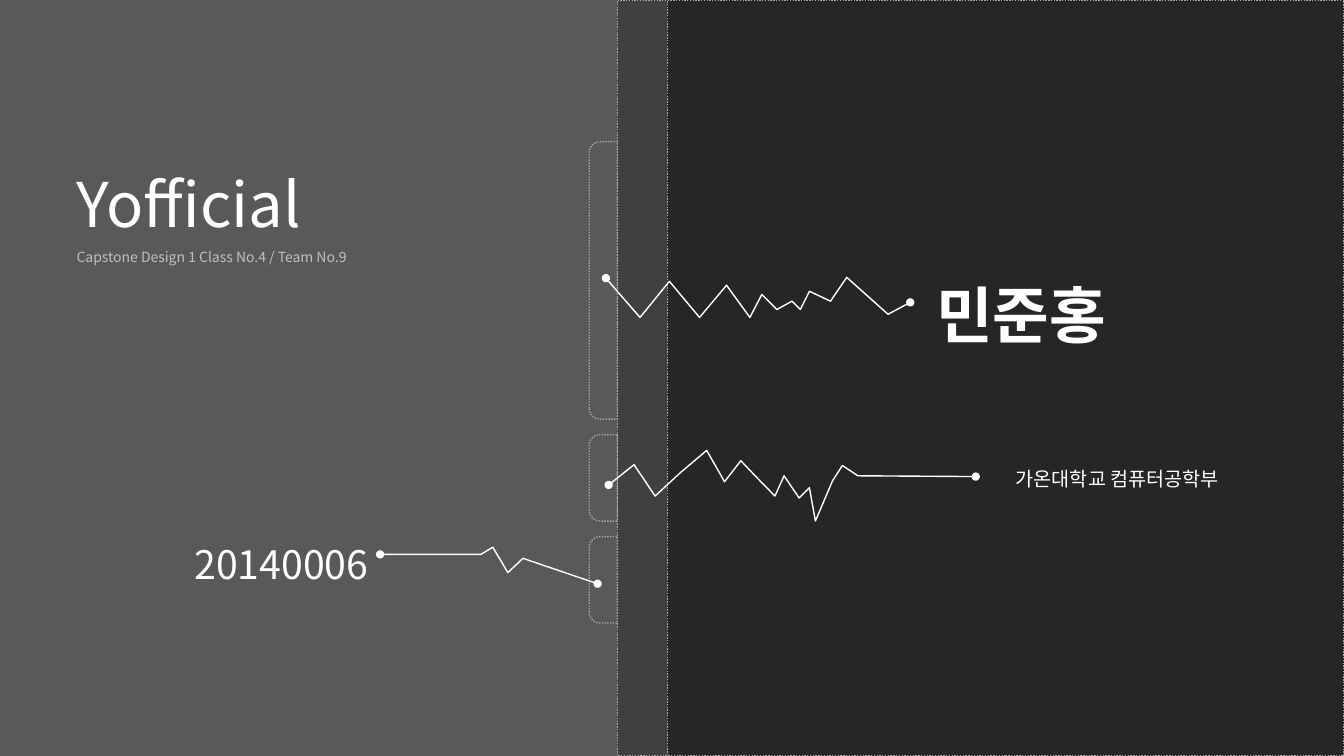
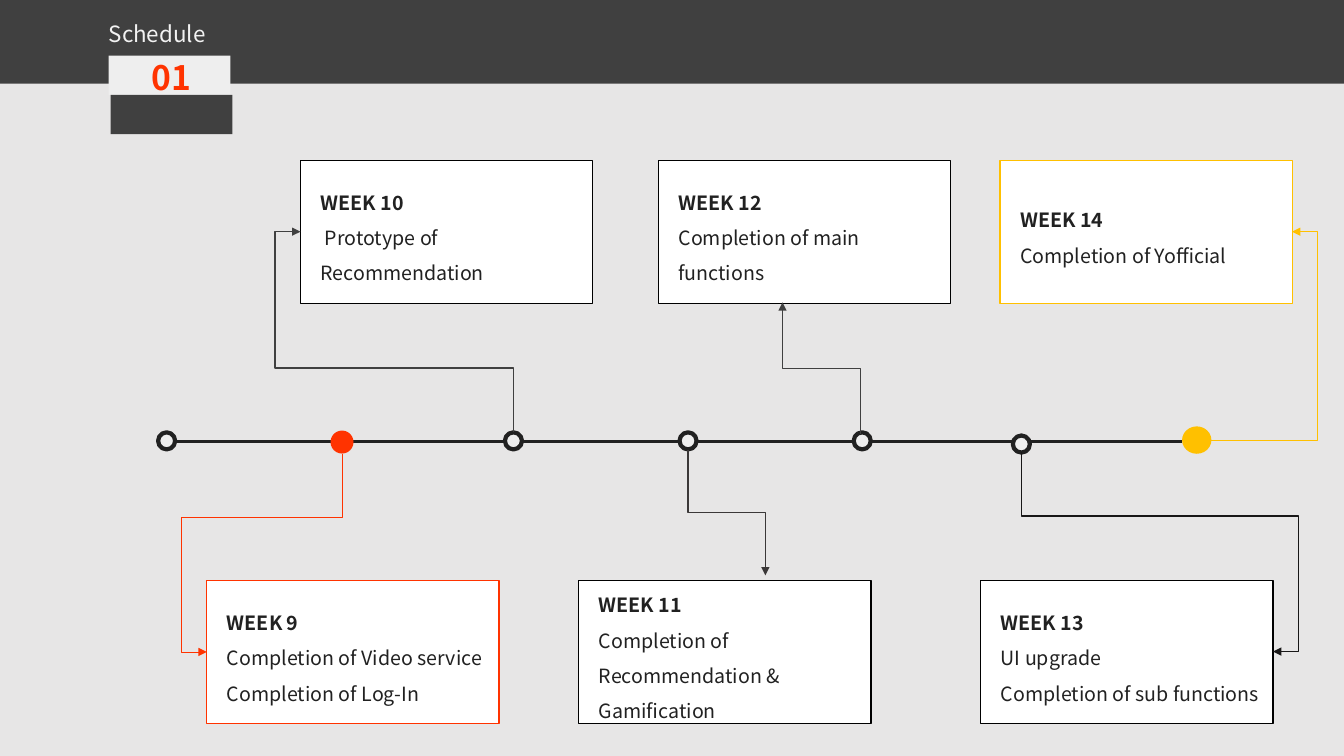
from pptx import Presentation
from pptx.dml.color import RGBColor
from pptx.enum.dml import MSO_LINE
from pptx.enum.shapes import MSO_CONNECTOR as Link, MSO_SHAPE as Shape
from pptx.enum.text import MSO_ANCHOR as Anchor, MSO_AUTO_SIZE as AutoSize, PP_ALIGN as Align
from pptx.oxml.ns import qn
from pptx.util import Cm, Pt
from lxml.etree import SubElement

FONT = "Noto Sans CJK KR"
WHITE, INK, CHARCOAL, DOTTED = "FFFFFF", "212121", "404040", "A6A6A6"
PALE, RED, GOLD, BLACK = "EEEEEE", "FF3300", "FFC000", "000000"
SLIDE_W, SLIDE_H = 33.87, 19.05

COVER_TITLE = "Yofficial"
COVER_SUBTITLE = "Capstone Design 1 Class No.4 / Team No.9"
COVER_LABELS = [
    ("민준홍", (23.34, 5.92, 7, 2.72), 44, 1),
    ("가온대학교 컴퓨터공학부", (25.35, 11.35, 7, 1.04), 14, 0),
    ("20140006", (4.65, 12.88, 5.33, 1.83), 28, 0),
]
PANELS = [(15.56, CHARCOAL), (16.82, "262626")]
TAB_LENGTHS = [6.99, 2.18, 2.18]
TAB_TOP, TAB_GAP, TAB_DEPTH = 3.57, 0.39, 0.71
PULSES = [
    [(15.27, 7.01), (16.13, 8), (16.87, 7.09), (17.63, 8), (18.31, 7.19),
     (18.9, 8), (19.2, 7.42), (19.58, 7.8), (19.96, 7.59), (20.17, 7.8),
     (20.4, 7.34), (20.93, 7.59), (21.34, 6.99), (22.38, 7.92), (22.94, 7.62)],
    [(15.34, 12.22), (15.98, 11.71), (16.51, 12.5), (17.15, 11.91), (17.81, 11.35),
     (18.26, 12.14), (18.67, 11.61), (19.05, 12.01), (19.53, 12.5), (19.76, 11.99),
     (20.14, 12.55), (20.4, 12.29), (20.55, 13.13), (20.98, 12.12), (21.23, 11.73),
     (21.62, 11.99), (24.59, 12.01)],
    [(9.58, 13.97), (12.12, 13.97), (12.42, 13.79), (12.8, 14.43), (13.18, 14.07),
     (15.06, 14.71)],
]

SCHEDULE_TITLE, SCHEDULE_NUMBER = "Schedule", "01"
PLATES = [(2.74, 1.4, PALE), (2.79, 2.39, CHARCOAL)]
CARD_W, CARD_H, UPPER, LOWER = 7.37, 3.61, 4.04, 14.63
CARDS = [
    (5.21, LOWER, RED, ["WEEK 9", "Completion of Video service", "Completion of Log-In"]),
    (7.57, UPPER, BLACK, ["WEEK 10", " Prototype of Recommendation"]),
    (14.58, LOWER, BLACK, ["WEEK 11", "Completion of Recommendation & Gamification"]),
    (16.59, UPPER, BLACK, ["WEEK 12", "Completion of main functions"]),
    (24.71, LOWER, BLACK, ["WEEK 13", "UI upgrade", "Completion of sub functions"]),
    (25.2, UPPER, GOLD, ["WEEK 14", "Completion of Yofficial"]),
]
RING = (0.43, 0.43, PALE, INK)
STOPS = [
    (4.2, 11.11, *RING),
    (8.62, 11.14, 0.58, 0.58, RED, None),
    (12.94, 11.11, *RING),
    (17.34, 11.11, *RING),
    (21.73, 11.11, *RING),
    (25.74, 11.19, *RING),
    (30.16, 11.09, 0.74, 0.69, GOLD, None),
]
ROUTES = [
    dict(start=(8.62, 11.43), turn_y=13.03, turn_x=4.57, end=(5.21, 16.43), color=RED, width=0.5),
    dict(start=(12.94, 10.9), turn_y=9.27, turn_x=6.93, end=(7.57, 5.84), color=CHARCOAL, width=1),
    dict(start=(17.34, 11.33), turn_y=12.92, end=(19.29, 14.5), color="3B3838", width=1),
    dict(start=(21.68, 10.95), turn_y=9.27, end=(19.72, 7.62), color=CHARCOAL, width=0.5),
    dict(start=(25.75, 11.4), turn_y=13, turn_x=32.72, end=(32.08, 16.42), color="181717", width=1),
    dict(start=(30.53, 11.1), turn_x=33.2, end=(32.56, 5.84), color=GOLD, width=0.5),
]


def rgb(color):
    return RGBColor.from_string(color)


def place(part, left, top, width, height):
    part.left, part.top, part.width, part.height = map(Cm, (left, top, width, height))


def stroke(part, color, width=1, dash=None, head=None, tail=None):
    part.line.color.rgb = rgb(color)
    part.line.width = Pt(width)
    if dash:
        part.line.dash_style = dash
    outline = part.element.spPr.find(qn("a:ln"))
    for tag, kind in (("a:headEnd", head), ("a:tailEnd", tail)):
        if kind:
            SubElement(outline, qn(tag)).set("type", kind)


def finish(part, fill=None, line=None, **line_format):
    part.shadow.inherit = False
    if fill:
        part.fill.solid()
        part.fill.fore_color.rgb = rgb(fill)
    else:
        part.fill.background()
    if line:
        stroke(part, line, **line_format)
    else:
        part.line.fill.background()


def draw(slide, preset, box, fill=None, line=None, **line_format):
    part = slide.shapes.add_shape(preset, *map(Cm, box))
    finish(part, fill, line, **line_format)
    return part


def write(part, lines, size, color=WHITE, bold_lines=0, spacing=1.5,
          inset=0.25, anchor=Anchor.TOP, wrap=True):
    frame = part.text_frame
    frame.text = "\n".join(lines)
    frame.word_wrap = wrap
    frame.auto_size = AutoSize.NONE
    frame.vertical_anchor = anchor
    frame.margin_left, frame.margin_right = Cm(inset), Cm(0.25)
    frame.margin_top = frame.margin_bottom = Cm(0.13)
    for index, paragraph in enumerate(frame.paragraphs):
        paragraph.alignment = Align.LEFT
        paragraph.line_spacing = spacing
        paragraph.space_before = Pt(0)
        for run in paragraph.runs:
            run.font.name = FONT
            run.font.size = Pt(size)
            run.font.bold = index < bold_lines
            run.font.color.rgb = rgb(color)
            SubElement(run.font._element, qn("a:ea")).set("typeface", FONT)


def label(slide, text, box, size, **text_format):
    write(slide.shapes.add_textbox(*map(Cm, box)), [text], size, **text_format)


def connect(slide, kind, start, end, color, width, tail=None):
    link = slide.shapes.add_connector(kind, *map(Cm, (*start, *end)))
    stroke(link, color, width, tail=tail)
    SubElement(link.element.spPr, qn("a:effectLst"))
    return link


def elbow(slide, start, end, color, width, turn_x=None, turn_y=None):
    (x1, y1), (x2, y2) = start, end
    dx, dy = x2 - x1, y2 - y1
    across = (turn_x - x1) / dx if turn_x else None
    if turn_y:
        length, depth = abs(dy), abs(dx)
        rotation = 90 if dy > 0 else 270
        flipped = (dx > 0) == (dy > 0)
        bends = [(turn_y - y1) / dy] + ([across] if turn_x else [])
    else:
        length, depth = abs(dx), abs(dy)
        rotation, flipped, bends = 0, dy < 0, [across]
    left, top = (x1 + x2 - length) / 2, (y1 + y2 - depth) / 2
    link = connect(slide, Link.ELBOW, (left, top), (left + length, top + depth),
                   color, width, tail="triangle")
    frame = link.element.spPr.find(qn("a:xfrm"))
    frame.set("rot", str(rotation * 60000))
    frame.set("flipV", str(int(flipped)))
    geometry = link.element.spPr.find(qn("a:prstGeom"))
    geometry.set("prst", f"bentConnector{len(bends) + 2}")
    guides = geometry.find(qn("a:avLst"))
    if guides is None:
        guides = SubElement(geometry, qn("a:avLst"))
    for number, bend in enumerate(bends, 1):
        guide = SubElement(guides, qn("a:gd"))
        guide.set("name", f"adj{number}")
        guide.set("fmla", f"val {round(bend * 100000)}")


def pulse(slide, points):
    first, *rest = [(Cm(x), Cm(y)) for x, y in points]
    builder = slide.shapes.build_freeform(*first)
    builder.add_line_segments(rest, close=False)
    finish(builder.convert_to_shape(), line=WHITE, head="oval", tail="oval")


def new_slide(deck, layout, background):
    slide = deck.slides.add_slide(deck.slide_layouts[layout])
    slide.background.fill.solid()
    slide.background.fill.fore_color.rgb = rgb(background)
    return slide


def build_cover(deck):
    slide = new_slide(deck, 0, "595959")
    title, subtitle = slide.placeholders
    place(title, 1.68, 3.12, 10.92, 2.8)
    write(title, [COVER_TITLE], 44)
    place(subtitle, 1.68, 5.92, 10.92, 0.9)
    write(subtitle, [COVER_SUBTITLE], 10, color="BFBFBF")

    dotted = dict(line=DOTTED, dash=MSO_LINE.ROUND_DOT)
    for left, fill in PANELS:
        draw(slide, Shape.RECTANGLE, (left, 0, SLIDE_W - left, SLIDE_H), fill, **dotted)
    top = TAB_TOP
    center_x = PANELS[0][0] - TAB_DEPTH / 2
    for length in TAB_LENGTHS:
        box = (center_x - length / 2, top + (length - TAB_DEPTH) / 2, length, TAB_DEPTH)
        tab = draw(slide, Shape.ROUND_2_SAME_RECTANGLE, box, **dotted)
        tab.adjustments[0], tab.adjustments[1] = 0.385, 0
        tab.rotation = 270
        top += length + TAB_GAP
    for points in PULSES:
        pulse(slide, points)
    for text, box, size, bold_lines in COVER_LABELS:
        label(slide, text, box, size, bold_lines=bold_lines)


def build_schedule(deck):
    slide = new_slide(deck, 5, "E7E6E6")
    draw(slide, Shape.RECTANGLE, (0, 0, SLIDE_W, 2.11), CHARCOAL)
    title = slide.shapes.title
    title.element.getparent().append(title.element)
    place(title, 2.49, 0.03, 8.84, 1.14)
    write(title, [SCHEDULE_TITLE], 16, color="F2F2F2")
    for left, top, fill in PLATES:
        draw(slide, Shape.RECTANGLE, (left, top, 3.07, 0.99), fill)
    label(slide, SCHEDULE_NUMBER, (3.58, 1.3, 1.5, 1.27), 24, color=RED,
          bold_lines=1, spacing=1, wrap=False)

    connect(slide, Link.STRAIGHT, (4.42, 11.13), (29.79, 11.13), INK, 2.25)
    for x, y, width, height, fill, line in STOPS:
        draw(slide, Shape.OVAL, (x - width / 2, y - height / 2, width, height),
             fill, line, width=3)
    for left, top, line, lines in CARDS:
        card = draw(slide, Shape.RECTANGLE, (left, top, CARD_W, CARD_H), WHITE, line)
        write(card, lines, 14, color=INK, bold_lines=1, inset=0.51, anchor=Anchor.MIDDLE)
    for route in ROUTES:
        elbow(slide, **route)


def main():
    deck = Presentation()
    deck.slide_width, deck.slide_height = Cm(SLIDE_W), Cm(SLIDE_H)
    build_cover(deck)
    build_schedule(deck)
    deck.save("out.pptx")


if __name__ == "__main__":
    main()
